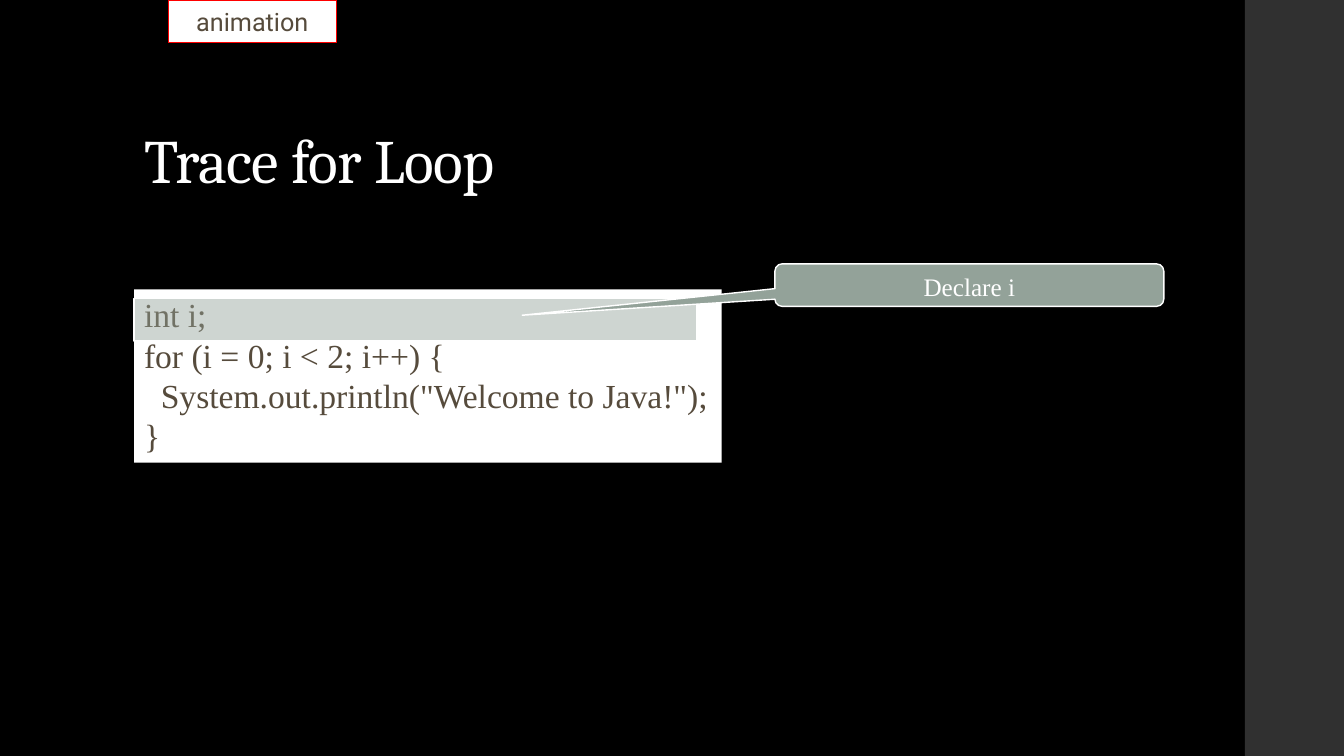
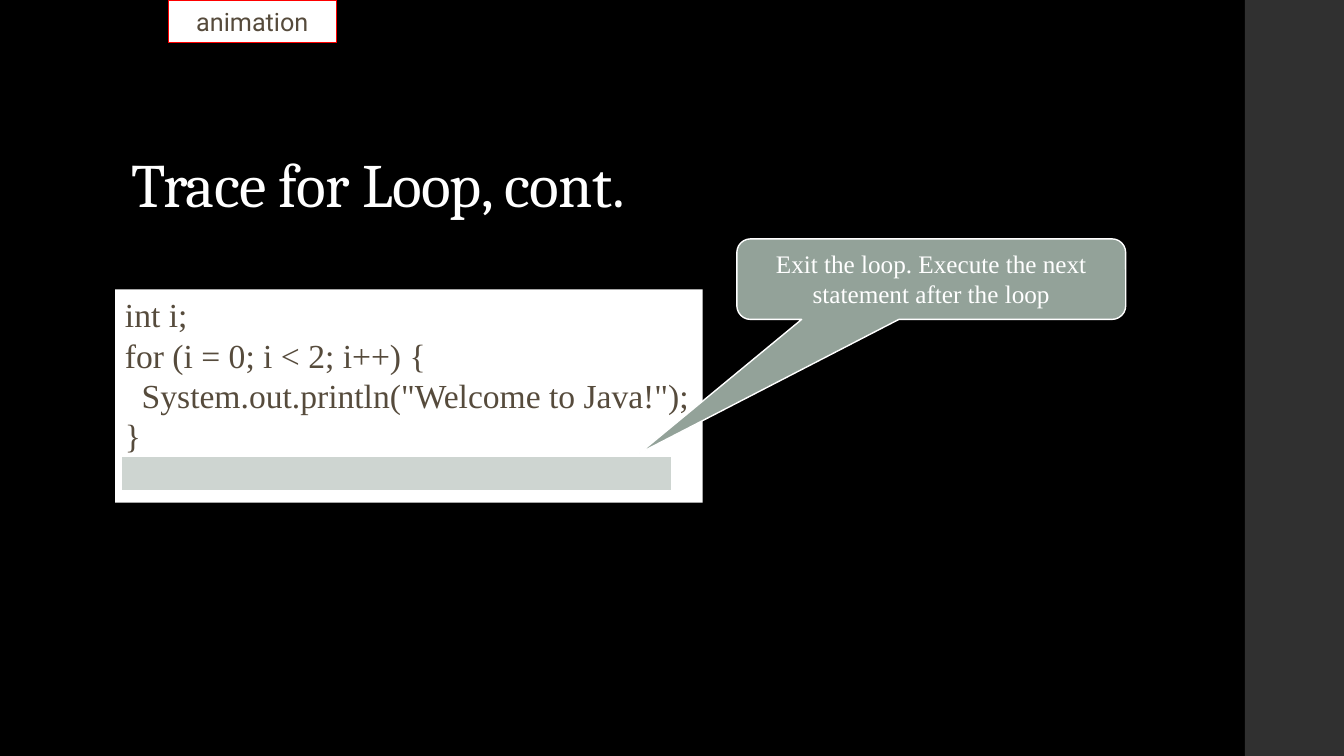
from dataclasses import dataclass

from lxml import etree
from pptx import Presentation
from pptx.dml import color
from pptx.enum import shapes, text
from pptx.oxml import ns
from pptx.util import Cm, Pt

RECT = shapes.MSO_SHAPE.RECTANGLE
BUBBLE = shapes.MSO_SHAPE.ROUNDED_RECTANGULAR_CALLOUT
LEFT, MID = text.PP_ALIGN.LEFT, text.PP_ALIGN.CENTER
TOP, CENTER, BOTTOM = (text.MSO_ANCHOR.TOP, text.MSO_ANCHOR.MIDDLE,
                       text.MSO_ANCHOR.BOTTOM)


# Shared colours, fonts and sizes (lengths in cm)
@dataclass(frozen=True)
class Theme:
    wide: float = 33.87
    high: float = 19.05
    back: str = "000000"
    band: str = "303030"
    white: str = "FFFFFF"
    ink: str = "564B3C"
    sage: str = "93A299"
    red: str = "FF0000"
    head: str = "Cambria"
    body: str = "Times New Roman"
    label: str = "Roboto"
    big: int = 44
    code: int = 24
    note: int = 18


T = Theme()
CODE = ["int i;",
        "for (i = 0; i < 2; i++) {",
        '  System.out.println("Welcome to Java!");',
        "}"]


def rgb(tone):
    return color.RGBColor.from_string(tone)


def shape(slide, kind, box, fill, line=None):
    item = slide.shapes.add_shape(kind, *map(Cm, box))
    item.shadow.inherit = False
    item.fill.solid()
    item.fill.fore_color.rgb = rgb(fill)
    if line:
        item.line.color.rgb = rgb(line)
        item.line.width = Pt(1)
    else:
        item.line.fill.background()
    return item


def write(item, lines, face, size, tone, align=LEFT, anchor=TOP, wrap=True):
    frame = item.text_frame
    frame.word_wrap = wrap
    frame.vertical_anchor = anchor
    frame.text = "\n".join(lines)
    for para in frame.paragraphs:
        para.alignment = align
        para.font.name = face
        para.font.size = Pt(size)
        para.font.color.rgb = rgb(tone)
    return frame


def title(slide, words, left, top):
    item = slide.shapes.add_textbox(*map(Cm, (left, top, 21.59, 2.11)))
    frame = write(item, [words], T.head, T.big, T.white, anchor=BOTTOM)
    para = frame.paragraphs[0]
    para.line_spacing = 0.9
    # Tighten the letters by half a point
    para._p.get_or_add_pPr().get_or_add_defRPr().set("spc", "-50")


def code(slide, left, high):
    item = shape(slide, RECT, (left, 7.29, 14.81, high), T.white)
    write(item, CODE, T.body, T.code, T.ink)


def marker(slide, box):
    item = shape(slide, RECT, box, T.sage, T.white)
    # Let the code show through
    tone = item.fill._xPr.find(ns.qn("a:solidFill"))[0]
    etree.SubElement(tone, ns.qn("a:alpha"), val="45000")


def callout(slide, words, box, tip):
    item = shape(slide, BUBBLE, box, T.sage, T.white)
    for spot, value in enumerate((*tip, 0.17)):
        item.adjustments[spot] = value
    write(item, [words], T.body, T.note, T.white, MID)


def tag(slide):
    item = shape(slide, RECT, (4.24, 0, 4.24, 1.07), T.white, T.red)
    write(item, ["animation"], T.label, T.note, T.ink, MID, CENTER, False)


def start(deck):
    # Background and side band
    slide = deck.slides.add_slide(deck.slide_layouts[6])
    slide.background.fill.solid()
    slide.background.fill.fore_color.rgb = rgb(T.back)
    shape(slide, RECT, (31.37, 0, T.wide - 31.37, T.high), T.band)
    return slide


def first(deck):
    slide = start(deck)
    title(slide, "Trace for Loop", 3.38, 2.97)
    code(slide, 3.38, 4.37)
    marker(slide, (3.38, 7.52, 14.17, 1.07))
    callout(slide, "Declare i", (19.53, 6.65, 9.8, 1.07), (-1.15, 0.71))
    tag(slide)


def second(deck):
    slide = start(deck)
    title(slide, "Trace for Loop, cont.", 3.07, 3.58)
    code(slide, 2.9, 5.38)
    marker(slide, (3.07, 11.51, 13.87, 0.86))
    callout(slide, "Exit the loop. Execute the next statement after the loop",
            (18.57, 6.02, 9.8, 2.03), (-0.75, 2.16))
    tag(slide)


def main():
    deck = Presentation()
    deck.slide_width, deck.slide_height = Cm(T.wide), Cm(T.high)
    first(deck)
    second(deck)
    deck.save("out.pptx")


if __name__ == "__main__":
    main()
